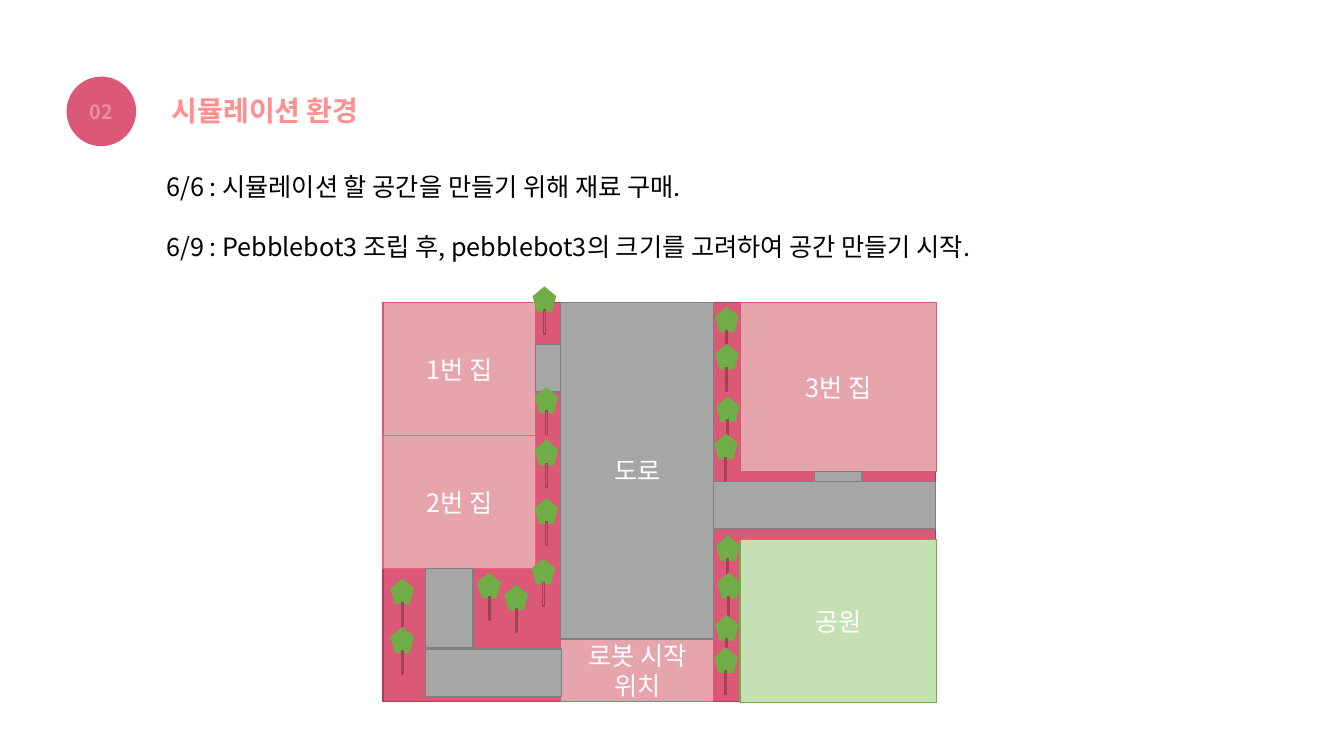
from lxml.etree import SubElement
from pptx import Presentation
from pptx.dml.color import RGBColor
from pptx.enum.shapes import MSO_SHAPE as SHAPE
from pptx.enum.text import MSO_ANCHOR as ANCHOR, MSO_AUTO_SIZE as AUTO, PP_ALIGN as ALIGN
from pptx.oxml.ns import qn
from pptx.util import Inches, Pt

FONT = "Noto Sans CJK KR"
COLORS = {
    "rose": "DB5877", "rose_dark": "A24158", "rose_bright": "EE5F7C",
    "house": "E6A4AC", "road": "A6A6A6", "road_edge": "808080",
    "park": "C5E0B4", "leaf": "70AD47", "title": "FF908F",
    "number": "E58FA4", "white": "FFFFFF", "black": "000000",
}

MAP_W, MAP_H = 5.48, 3.96
HOUSE_W, HOUSE_H = 1.51, 1.32
ROAD_X, ROAD_W, ROAD_H = 1.76, 1.52, 3.34
EAST_X, EAST_W = 3.54, 1.95
PATH = 0.47

AREAS = [
    ("", 0, 0, MAP_W, MAP_H, "rose", "rose_dark"),
    ("1번 집", 0, 0, HOUSE_W, HOUSE_H, "house", "rose"),
    ("2번 집", 0, HOUSE_H, HOUSE_W, HOUSE_H, "house", "rose_bright"),
    ("3번 집", EAST_X, 0, EAST_W, 1.68, "house", "rose"),
    ("공원", EAST_X, 2.35, EAST_W, 1.62, "park", "leaf"),
    ("로봇 시작 위치", ROAD_X, ROAD_H, ROAD_W, MAP_H - ROAD_H, "house", "rose"),
    ("도로", ROAD_X, 0, ROAD_W, ROAD_H, "road", "road_edge"),
    ("", ROAD_X + ROAD_W, 1.78, 2.2, PATH, "road", "road_edge"),
    ("", 0.42, 3.44, 1.35, PATH, "road", "road_edge"),
    ("", 0.42, 2 * HOUSE_H, PATH, 0.79, "road", "road_edge"),
    ("", HOUSE_W, 0.42, 0.25, PATH, "road", "road_edge"),
    ("", 4.28, 1.68, PATH, 0.1, "road", "road_edge"),
]
TREES = [
    (1.49, -0.15), (1.51, 0.85), (1.51, 1.37), (1.51, 1.95), (1.48, 2.55),
    (0.94, 2.69), (1.21, 2.81), (0.08, 2.75), (0.08, 3.23),
    (3.3, 0.05), (3.3, 0.42), (3.31, 0.94), (3.29, 1.31),
    (3.31, 2.32), (3.32, 2.69), (3.3, 3.11), (3.29, 3.43),
]


def rgb(name):
    return RGBColor.from_string(COLORS[name])


def write(sp, text, size, color, bold=False, align=ALIGN.CENTER, anchor=ANCHOR.MIDDLE):
    tf = sp.text_frame
    tf.text = text
    tf.vertical_anchor = anchor
    p = tf.paragraphs[0]
    p.alignment = align
    for r in p.runs:
        r.font.size, r.font.bold, r.font.name = Pt(size), bold, FONT
        r.font.color.rgb = rgb(color)
        SubElement(r.font._element, qn("a:ea"), typeface=FONT)


def add_part(shapes, kind, x, y, w, h, fill, line=None):
    sp = shapes.add_shape(kind, Inches(x), Inches(y), Inches(w), Inches(h))
    sp.shadow.inherit = False
    sp.fill.solid()
    sp.fill.fore_color.rgb = rgb(fill)
    if line:
        sp.line.color.rgb = rgb(line)
        sp.line.width = Pt(1)
    else:
        sp.line.fill.background()
    return sp


def add_header(s, x, y, number, title):
    badge = add_part(s.shapes, SHAPE.OVAL, x, y, 0.69, 0.69, "rose")
    write(badge, number, 14, "number", bold=True)
    sp = s.shapes.title
    sp.left, sp.top = Inches(x + 0.8), Inches(y + 0.12)
    sp.width, sp.height = Inches(2.34), Inches(0.44)
    write(sp, title, 20, "title", bold=True, anchor=ANCHOR.TOP)
    sp.text_frame.auto_size = AUTO.NONE
    sp.text_frame.word_wrap = False


def add_notes(s, x, y, w, step, lines):
    for i, line in enumerate(lines):
        sp = s.shapes.add_textbox(Inches(x), Inches(y + i * step), Inches(w), Inches(0.4))
        sp.text_frame.word_wrap = True
        write(sp, line, 18, "black", align=ALIGN.LEFT, anchor=ANCHOR.TOP)


def add_tree(shapes, x, y):
    add_part(shapes, SHAPE.REGULAR_PENTAGON, x, y, 0.22, 0.24, "leaf", "leaf")
    trunk = add_part(shapes, SHAPE.MATH_MINUS, x - 0.05, y + 0.31, 0.32, 0.07,
                     "rose", "rose_dark")
    trunk.rotation = 90


def add_map(s, x, y):
    shapes = s.shapes.add_group_shape().shapes
    for label, dx, dy, w, h, fill, line in AREAS:
        sp = add_part(shapes, SHAPE.RECTANGLE, x + dx, y + dy, w, h, fill, line)
        if label:
            write(sp, label, 18, "white")
    for dx, dy in TREES:
        add_tree(shapes, x + dx, y + dy)


def main():
    prs = Presentation()
    prs.slide_width, prs.slide_height = Inches(13.33), Inches(7.5)
    s = prs.slides.add_slide(prs.slide_layouts[5])
    add_header(s, 0.66, 0.76, "02", "시뮬레이션 환경")
    add_notes(s, 1.55, 1.65, 9.89, 0.6, [
        "6/6 : 시뮬레이션 할 공간을 만들기 위해 재료 구매.",
        "6/9 : Pebblebot3 조립 후, pebblebot3의 크기를 고려하여 공간 만들기 시작.",
    ])
    add_map(s, 3.8, 3)
    prs.save("out.pptx")


if __name__ == "__main__":
    main()
